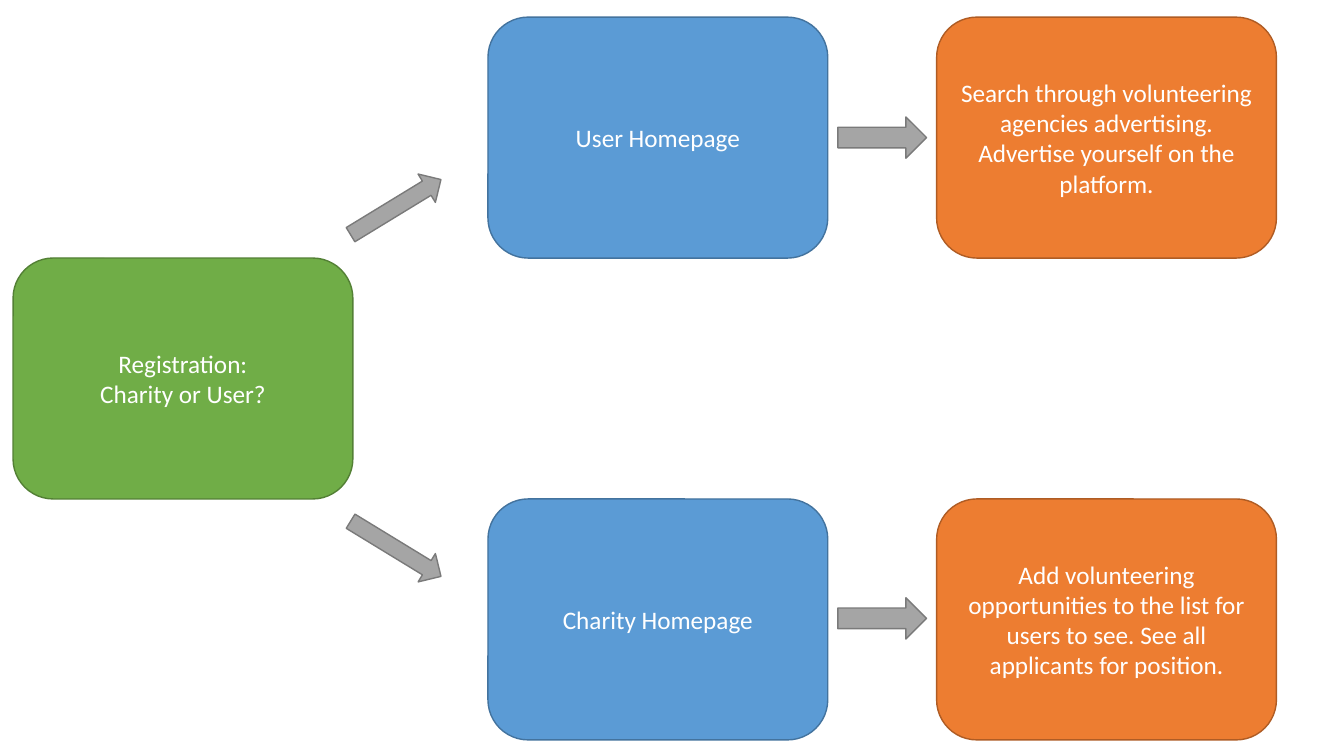
from dataclasses import dataclass

from pptx import Presentation
from pptx import util as u
from pptx.dml.color import RGBColor
from pptx.enum import shapes, text

COLOURS = {
    "registration": "70AD47", "registration_line": "538035",
    "homepage": "5B9BD5", "homepage_line": "43739E",
    "action": "ED7D31", "action_line": "AF5C24",
    "arrow": "A5A5A5", "arrow_line": "7A7A7A",
    "text": "FFFFFF",
}

# Three columns of boxes, and three rows that touch edge to edge
BOX_WIDTH, BOX_HEIGHT = 3.37, 2.39
COLUMNS = {"registration": 0.13, "homepage": 4.84, "action": 9.29}
TOP, MIDDLE, BOTTOM = (0.17 + row * BOX_HEIGHT for row in range(3))


@dataclass
class Step:
    kind: str
    top: float
    lines: tuple[str, ...]


@dataclass
class Arrow:
    left: float
    top: float
    width: float
    height: float
    rotation: float = 0


STEPS = [
    Step("registration", MIDDLE, ("Registration:", "Charity or User?")),
    Step("homepage", TOP, ("User Homepage",)),
    Step("homepage", BOTTOM, ("Charity Homepage",)),
    Step("action", TOP, ("Search through volunteering agencies advertising. "
                         "Advertise yourself on the platform.",)),
    Step("action", BOTTOM, ("Add volunteering opportunities to the list for users to see. "
                            "See all applicants for position.",)),
]

ARROWS = [
    Arrow(3.4, 1.89, 1.05, 0.33, -31.4),
    Arrow(3.4, 5.28, 1.05, 0.33, 31.4),
    Arrow(8.31, 1.16, 0.88, 0.41),
    Arrow(8.31, 5.93, 0.88, 0.41),
]


def colour(name: str) -> RGBColor:
    return RGBColor.from_string(COLOURS[name])


def add_block(slide, preset, kind: str, left: float, top: float, width: float, height: float):
    """Add a flat filled shape with a thin darker outline."""
    block = slide.shapes.add_shape(
        preset, u.Inches(left), u.Inches(top), u.Inches(width), u.Inches(height))
    block.shadow.inherit = False
    block.fill.solid()
    block.fill.fore_color.rgb = colour(kind)
    block.line.color.rgb = colour(kind + "_line")
    block.line.width = u.Pt(1)
    return block


def draw_step(slide, step: Step) -> None:
    box = add_block(slide, shapes.MSO_SHAPE.ROUNDED_RECTANGLE, step.kind,
                    COLUMNS[step.kind], step.top, BOX_WIDTH, BOX_HEIGHT)
    frame = box.text_frame
    frame.word_wrap = True
    frame.vertical_anchor = text.MSO_ANCHOR.MIDDLE
    for index, line in enumerate(step.lines):
        para = frame.add_paragraph() if index else frame.paragraphs[0]
        para.alignment = text.PP_ALIGN.CENTER
        span = para.add_run()
        span.text = line
        for name, value in {"name": "Calibri", "size": u.Pt(18)}.items():
            setattr(span.font, name, value)
        span.font.color.rgb = colour("text")


def draw_arrow(slide, arrow: Arrow) -> None:
    block = add_block(slide, shapes.MSO_SHAPE.RIGHT_ARROW, "arrow",
                      arrow.left, arrow.top, arrow.width, arrow.height)
    block.rotation = arrow.rotation


def main() -> None:
    deck = Presentation()
    deck.slide_width, deck.slide_height = u.Inches(13.33), u.Inches(7.5)
    page = deck.slides.add_slide(deck.slide_layouts.get_by_name("Blank"))

    # Boxes of the registration flow
    for step in STEPS:
        draw_step(page, step)

    # Arrows between the boxes
    for arrow in ARROWS:
        draw_arrow(page, arrow)

    deck.save("out.pptx")


if __name__ == "__main__":
    main()
